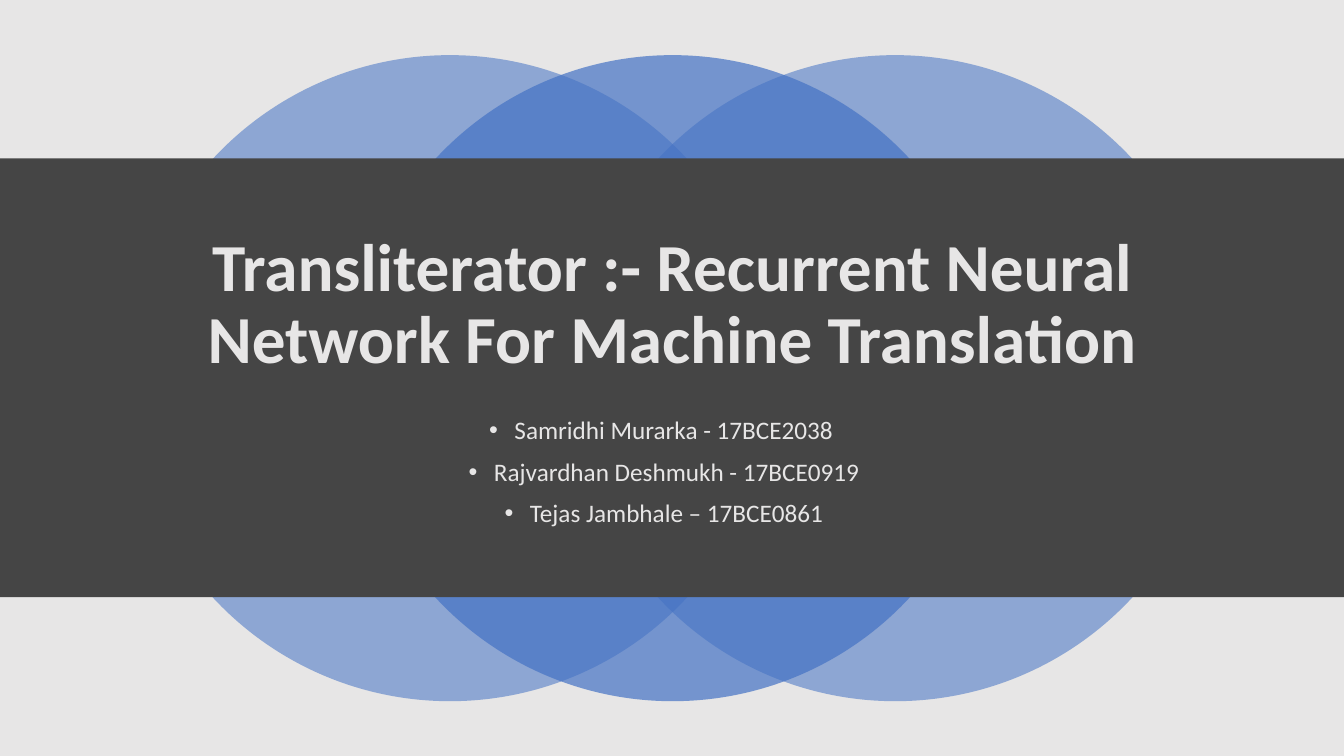
import pptx
import pptx.util
import pptx.dml.color
import pptx.enum.shapes
import pptx.enum.text
import pptx.oxml.ns
import lxml.etree

Cm, Pt = pptx.util.Cm, pptx.util.Pt
RGBColor = pptx.dml.color.RGBColor
SHAPE = pptx.enum.shapes.MSO_SHAPE
ALIGN = pptx.enum.text.PP_ALIGN
ANCHOR = pptx.enum.text.MSO_ANCHOR
qn = pptx.oxml.ns.qn

DARK = RGBColor(0x45, 0x45, 0x45)
LIGHT = RGBColor(0xE7, 0xE6, 0xE6)
BLUE = RGBColor(0x44, 0x72, 0xC4)

WIDTH, HEIGHT = 33.87, 19.05
TITLE = "Transliterator :- Recurrent Neural Network For Machine Translation"
TEAM = [
    "Samridhi Murarka - 17BCE2038 ",
    "Rajvardhan Deshmukh - 17BCE0919",
    "Tejas Jambhale – 17BCE0861",
]


def put(target, values):
    for name, value in values.items():
        setattr(target, name, value)


def add_shape(slide, kind, box, color, alpha=100):
    shape = slide.shapes.add_shape(kind, *map(Cm, box))
    shape.shadow.inherit = False
    shape.fill.solid()
    shape.fill.fore_color.rgb = color
    shape.line.fill.background()
    if alpha < 100:
        tint = shape.fill._xPr.find(qn("a:solidFill"))[0]
        lxml.etree.SubElement(tint, qn("a:alpha"), val=str(alpha * 1000))


def add_text(slide, box, lines, font, para, anchor):
    frame = slide.shapes.add_textbox(*map(Cm, box)).text_frame
    put(frame, {"word_wrap": True, "vertical_anchor": anchor})
    for i, line in enumerate(lines):
        item = frame.add_paragraph() if i else frame.paragraphs[0]
        put(item, {"alignment": ALIGN.CENTER, "line_spacing": 0.9, **para})
        run = item.add_run()
        run.text = line
        put(run.font, {"name": "Calibri", **font})
        run.font.color.rgb = LIGHT
    return frame


def add_dots(frame):
    for item in frame.paragraphs:
        props = item._p.get_or_add_pPr()
        props.set("marL", "0")
        props.set("indent", str(-Cm(0.64)))
        lxml.etree.SubElement(props, qn("a:buFont"), typeface="Arial")
        lxml.etree.SubElement(props, qn("a:buChar"), char="•")


def main():
    deck = pptx.Presentation()
    put(deck, {"slide_width": Cm(WIDTH), "slide_height": Cm(HEIGHT)})
    slide = deck.slides.add_slide(deck.slide_layouts[6])
    slide.background.fill.solid()
    slide.background.fill.fore_color.rgb = DARK

    # Light backdrop
    add_shape(slide, SHAPE.RECTANGLE, (0, 0, WIDTH, HEIGHT), LIGHT)

    # Overlapping circles, the middle one on top
    for step, alpha in ((0, 55), (2, 55), (1, 70)):
        box = (3.2 + step * 5.61, 1.39, 16.28, 16.28)
        add_shape(slide, SHAPE.OVAL, box, BLUE, alpha)

    # Dark band
    add_shape(slide, SHAPE.RECTANGLE, (0, 3.99, WIDTH, 11.06), DARK)

    # Title and team
    add_text(slide, (2.34, 6.4, 29.21, 2.6), [TITLE],
             {"size": Pt(48), "bold": True}, {}, ANCHOR.MIDDLE)
    team = add_text(slide, (6.63, 10.41, 20.62, 5.87), TEAM,
                    {"size": Pt(18)}, {"space_before": Pt(10)}, ANCHOR.TOP)
    add_dots(team)

    deck.save("out.pptx")


if __name__ == "__main__":
    main()
